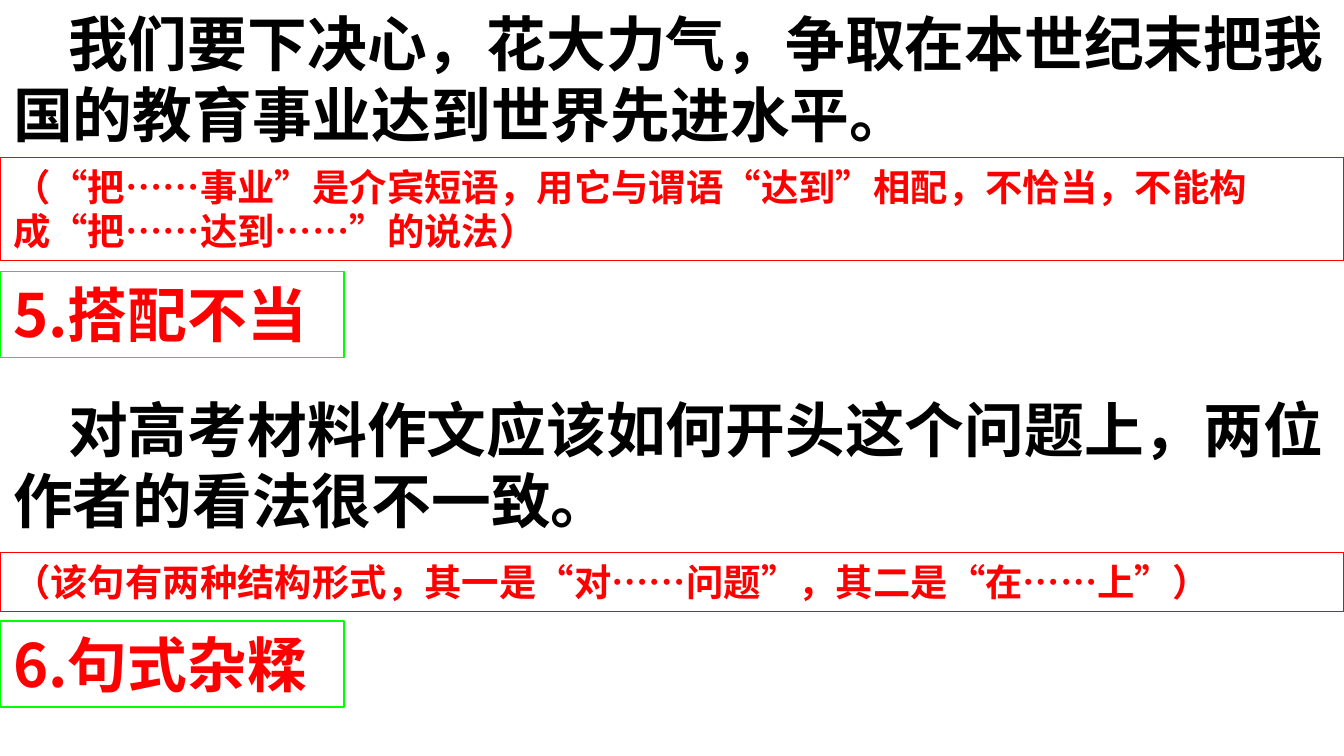
"""Build a slide of two faulty sentences, each with its note and verdict."""
from dataclasses import dataclass

import pptx
import pptx.dml.color
import pptx.enum.shapes
import pptx.enum.text
import pptx.oxml
import pptx.oxml.ns
import pptx.util

RGBColor = pptx.dml.color.RGBColor
BLACK = RGBColor(0, 0, 0)
RED = RGBColor(255, 0, 0)
GREEN = RGBColor(0, 255, 0)
WIDTH = 10
HEIGHT = WIDTH * 9 / 16
FACE = "Noto Sans CJK SC"
LEADING = 1.2


@dataclass(frozen=True)
class Style:
    """Look of one kind of box."""

    share: float
    size: int
    face: str
    ink: RGBColor
    edge: RGBColor | None = None
    indent: float = 0


@dataclass(frozen=True)
class Box:
    """Text with its top and height in inches."""

    style: Style
    top: float
    height: float
    text: str


CASE = Style(1, 32, "Times New Roman", BLACK, indent=0.41)
NOTE = Style(1, 20, FACE, RED, RED)
FAULT = Style(0.256, 32, FACE, RED, GREEN)

BOXES = (
    Box(CASE, 0, 1.17, "我们要下决心，花大力气，争取在本世纪末把我国的教育事业达到世界先进水平。"),
    Box(NOTE, 1.17, 0.77, "（“把……事业”是介宾短语，用它与谓语“达到”相配，不恰当，不能构成“把……达到……”的说法）"),
    Box(FAULT, 2.02, 0.64, "5.搭配不当"),
    Box(CASE, 2.87, 1.17, "对高考材料作文应该如何开头这个问题上，两位作者的看法很不一致。"),
    Box(NOTE, 4.11, 0.44, "（该句有两种结构形式，其一是“对……问题”，其二是“在……上”）"),
    Box(FAULT, 4.62, 0.64, "6.句式杂糅"),
)


def draw(shapes, box: Box) -> None:
    """Draw a box, framed when its style has an edge."""
    style, inch = box.style, pptx.util.Inches
    area = (0, inch(box.top), inch(WIDTH * style.share), inch(box.height))
    if style.edge is None:
        shape = shapes.add_textbox(*area)
    else:
        shape = shapes.add_shape(pptx.enum.shapes.MSO_SHAPE.RECTANGLE, *area)
        shape.shadow.inherit = False
        shape.fill.background()
        shape.line.color.rgb = style.edge
        shape.line.width = pptx.util.Pt(0.75)
    write(shape.text_frame, box)


def write(frame, box: Box) -> None:
    """Fill a frame with the text of its box."""
    style = box.style
    frame.word_wrap = True
    frame.auto_size = pptx.enum.text.MSO_AUTO_SIZE.NONE
    frame.vertical_anchor = pptx.enum.text.MSO_ANCHOR.TOP
    frame.margin_left = frame.margin_right = pptx.util.Inches(0.1)
    frame.margin_top = frame.margin_bottom = pptx.util.Inches(0.05)
    para = frame.paragraphs[0]
    run = para.add_run()
    run.text = box.text
    para.alignment = pptx.enum.text.PP_ALIGN.LEFT
    para.line_spacing = pptx.util.Pt(style.size * LEADING)
    if style.indent:
        para._p.get_or_add_pPr().set("indent", str(pptx.util.Inches(style.indent)))
    for font in (para.font, run.font):
        font.name = style.face
        font.size = pptx.util.Pt(style.size)
        font.bold = True
        font.color.rgb = style.ink
    east = pptx.oxml.parse_xml(f'<a:ea {pptx.oxml.ns.nsdecls("a")} typeface="{FACE}"/>')
    run.font._element.find(pptx.oxml.ns.qn("a:latin")).addnext(east)


def main() -> None:
    """Make and save the slide."""
    deck = pptx.Presentation()
    deck.slide_width = pptx.util.Inches(WIDTH)
    deck.slide_height = pptx.util.Inches(HEIGHT)
    slide = deck.slides.add_slide(deck.slide_layouts[6])
    for box in BOXES:
        draw(slide.shapes, box)
    deck.save("out.pptx")


if __name__ == "__main__":
    main()
